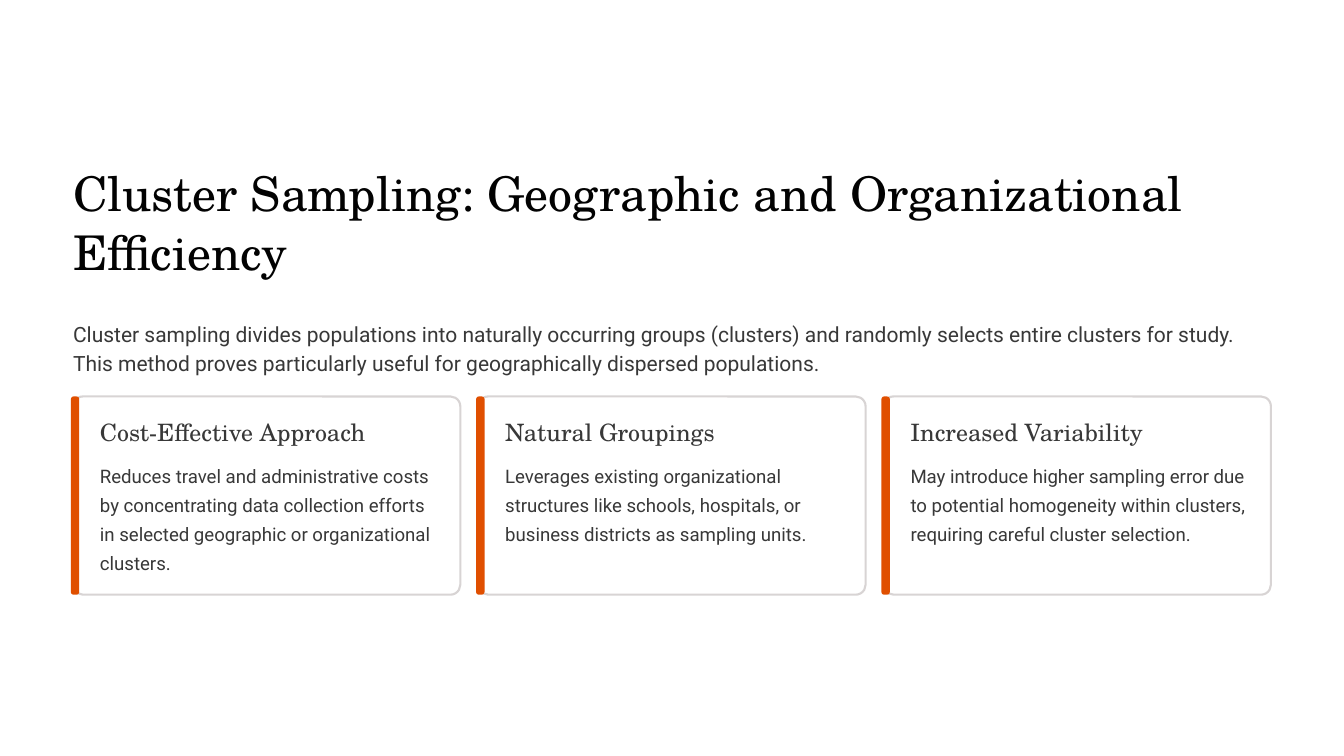
import dataclasses

import pptx
import pptx.dml.color
import pptx.enum.shapes
import pptx.enum.text
import pptx.util

Pt = pptx.util.Pt
SHAPE = pptx.enum.shapes.MSO_SHAPE.ROUNDED_RECTANGLE

SERIF, SANS = "TeX Gyre Schola", "Roboto"
BLACK, GREY, WHITE = "020202", "383838", "FFFFFF"
EDGE, ORANGE = "D8D4D4", "E04F00"

LEFT, WIDTH = 62.64, 1026.72
TOP, HEIGHT = 339.84, 169.92
COUNT, GAP = 3, 15.48
CARD = (WIDTH - (COUNT - 1) * GAP) / COUNT


@dataclasses.dataclass(frozen=True)
class Box:
    x: float
    y: float
    w: float
    h: float


@dataclasses.dataclass(frozen=True)
class Style:
    font: str
    size: float
    lead: float
    color: str


@dataclasses.dataclass(frozen=True)
class Card:
    head: str
    body: str


TITLE = Style(SERIF, 41, 51, BLACK)
INTRO = Style(SANS, 18, 25, GREY)
HEAD = Style(SERIF, 20.5, 25.5, GREY)
BODY = Style(SANS, 16, 25, GREY)

CARDS = [
    Card("Cost-Effective Approach",
         "Reduces travel and administrative costs by concentrating data "
         "collection efforts in selected geographic or organizational clusters."),
    Card("Natural Groupings",
         "Leverages existing organizational structures like schools, "
         "hospitals, or business districts as sampling units."),
    Card("Increased Variability",
         "May introduce higher sampling error due to potential homogeneity "
         "within clusters, requiring careful cluster selection."),
]


def rgb(code: str) -> pptx.dml.color.RGBColor:
    return pptx.dml.color.RGBColor.from_string(code)


def place(shape, box: Box) -> None:
    shape.left, shape.top = Pt(box.x), Pt(box.y)
    shape.width, shape.height = Pt(box.w), Pt(box.h)


def write(shape, text: str, style: Style, wrap: bool = True) -> None:
    frame = shape.text_frame
    frame.margin_left = frame.margin_right = Pt(0)
    frame.margin_top = frame.margin_bottom = Pt(0)
    frame.auto_size = pptx.enum.text.MSO_AUTO_SIZE.NONE
    frame.vertical_anchor = pptx.enum.text.MSO_ANCHOR.TOP
    frame.word_wrap = wrap
    para = frame.paragraphs[0]
    para.alignment = pptx.enum.text.PP_ALIGN.LEFT
    para.space_before = Pt(0)
    para.line_spacing = Pt(style.lead)
    run = para.add_run()
    run.text = text
    run.font.name = style.font
    run.font.size = Pt(style.size)
    run.font.color.rgb = rgb(style.color)


def label(slide, box: Box, text: str, style: Style, wrap: bool = True) -> None:
    shape = slide.shapes.add_textbox(Pt(box.x), Pt(box.y), Pt(box.w), Pt(box.h))
    write(shape, text, style, wrap)


def panel(slide, box: Box, round_by: float, fill: str, edge: str = "") -> None:
    shape = slide.shapes.add_shape(
        SHAPE, Pt(box.x), Pt(box.y), Pt(box.w), Pt(box.h))
    shape.adjustments[0] = round_by
    shape.shadow.inherit = False
    shape.fill.solid()
    shape.fill.fore_color.rgb = rgb(fill)
    if edge:
        shape.line.color.rgb = rgb(edge)
        shape.line.width = Pt(1.8)
    else:
        shape.line.fill.background()


def draw(slide, card: Card, x: float) -> None:
    panel(slide, Box(x, TOP, CARD, HEIGHT), 0.05, WHITE, EDGE)
    panel(slide, Box(x - 1.9, TOP, 7.2, HEIGHT), 0.33, ORANGE)
    label(slide, Box(x + 23, TOP + 17.28, 221, 26), card.head, HEAD, wrap=False)
    label(slide, Box(x + 23, TOP + 52.56, 291.6, 100), card.body, BODY)


def main() -> None:
    deck = pptx.Presentation()
    deck.slide_width, deck.slide_height = Pt(1152), Pt(648)
    slide = deck.slides.add_slide(deck.slide_layouts[5])
    slide.background.fill.solid()
    slide.background.fill.fore_color.rgb = rgb(WHITE)

    # Title and introduction
    title = slide.shapes.title
    place(title, Box(LEFT, 138.24, WIDTH, 102.24))
    write(title, "Cluster Sampling: Geographic and Organizational Efficiency",
          TITLE)
    label(slide, Box(LEFT, 272.16, WIDTH, 49.68),
          "Cluster sampling divides populations into naturally occurring "
          "groups (clusters) and randomly selects entire clusters for study. "
          "This method proves particularly useful for geographically "
          "dispersed populations.", INTRO)

    # Row of cards
    for i, card in enumerate(CARDS):
        draw(slide, card, LEFT + i * (CARD + GAP))

    deck.save("out.pptx")


if __name__ == "__main__":
    main()
